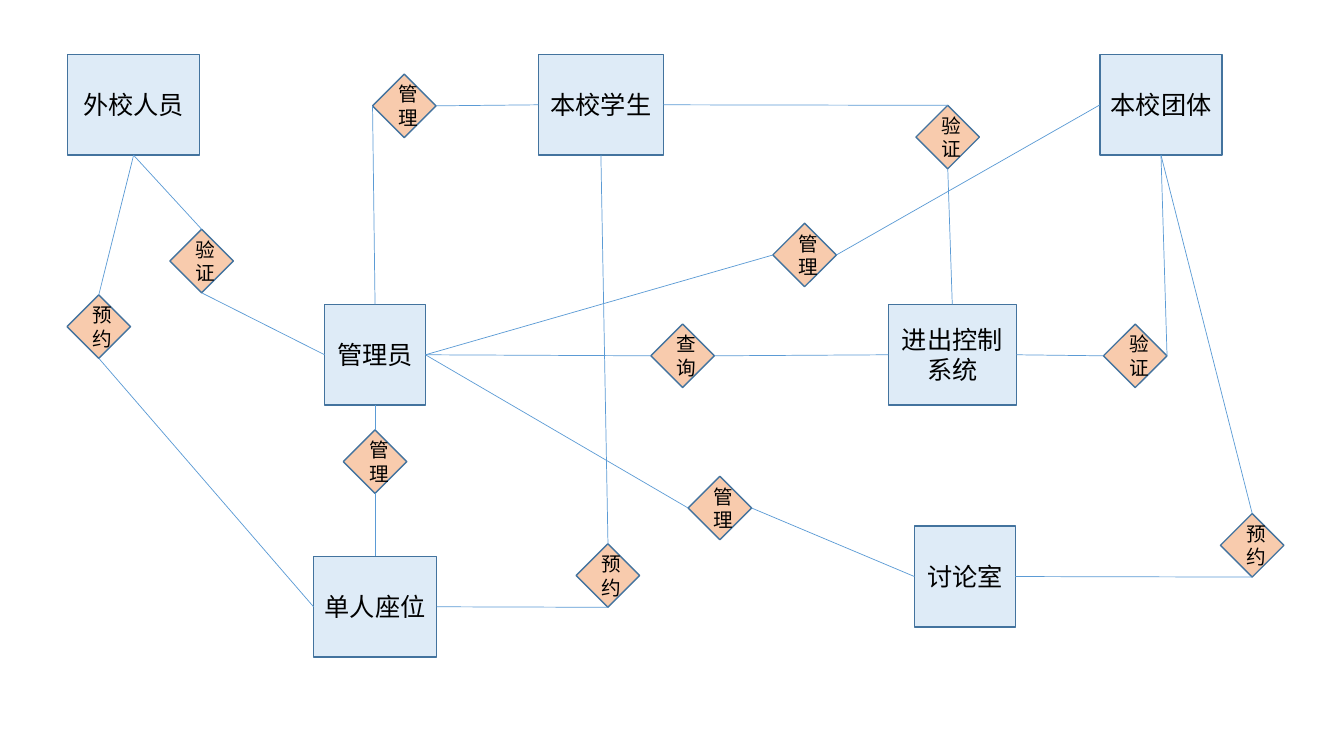
"""Build an entity-relationship diagram of a seat and room booking service."""
from lxml.etree import SubElement
from pptx import Presentation
from pptx.dml.color import RGBColor
from pptx.enum.shapes import MSO_CONNECTOR, MSO_SHAPE
from pptx.enum.text import MSO_ANCHOR, PP_ALIGN
from pptx.oxml.ns import qn
from pptx.util import Inches, Pt

COLUMNS, ROWS = 13.33, 7.5
TOP_ROW, MIDDLE_ROW = 0.54, 3.02
ENTITY_HEIGHT, DIAMOND_SIZE = 1, 0.63
FONT = "Calibri"
COLORS = {"entity": "DEEBF7", "relation": "F8CBAD", "outline": "43739E",
          "link": "5B9BD5", "text": "000000"}
SITES = {"top": 0, "left": 1, "bottom": 2, "right": 3}

# name: left column, top row, width
ENTITIES = {
    "管理员": (3.22, MIDDLE_ROW, 1),
    "单人座位": (3.11, 5.52, 1.22),
    "本校团体": (10.91, TOP_ROW, 1.21),
    "讨论室": (9.07, 5.22, 1),
    "外校人员": (0.67, TOP_ROW, 1.31),
    "本校学生": (5.34, TOP_ROW, 1.24),
    "进出控制系统": (8.81, MIDDLE_ROW, 1.27),
}

# label, centre column, centre row, then two links: diamond side, entity, entity side
RELATIONS = [
    ("管理", 4.01, 1.05, ("left", "管理员", "top"), ("right", "本校学生", "left")),
    ("管理", 3.72, 4.58, ("top", "管理员", "bottom"), ("bottom", "单人座位", "top")),
    ("验证", 2, 2.59, ("top", "外校人员", "bottom"), ("bottom", "管理员", "left")),
    ("查询", 6.77, 3.53, ("left", "管理员", "right"), ("right", "进出控制系统", "left")),
    ("管理", 7.98, 2.53, ("left", "管理员", "right"), ("right", "本校团体", "left")),
    ("管理", 7.14, 5.04, ("left", "管理员", "right"), ("right", "讨论室", "left")),
    ("预约", 6.03, 5.71, ("top", "本校学生", "bottom"), ("bottom", "单人座位", "right")),
    ("预约", 12.42, 5.41, ("top", "本校团体", "bottom"), ("bottom", "讨论室", "right")),
    ("预约", 0.98, 3.24, ("top", "外校人员", "bottom"), ("bottom", "单人座位", "left")),
    ("验证", 11.26, 3.53, ("right", "本校团体", "bottom"), ("left", "进出控制系统", "right")),
    ("验证", 9.4, 1.36, ("top", "本校学生", "right"), ("bottom", "进出控制系统", "top")),
]


def color(name):
    return RGBColor.from_string(COLORS[name])


def add_node(page, kind, frame, label, fill, size):
    node = page.shapes.add_shape(kind, *(Inches(length) for length in frame))
    node.shadow.inherit = False
    node.fill.solid()
    node.fill.fore_color.rgb = color(fill)
    node.line.color.rgb = color("outline")
    node.line.width = Pt(1)
    text = node.text_frame
    text.word_wrap = True
    text.vertical_anchor = MSO_ANCHOR.MIDDLE
    para = text.paragraphs[0]
    para.text = label
    para.alignment = PP_ALIGN.CENTER
    para.font.name = FONT
    para.font.size = Pt(size)
    para.font.color.rgb = color("text")
    return node


def add_link(page, entity, entity_side, diamond, diamond_side):
    link = page.shapes.add_connector(MSO_CONNECTOR.STRAIGHT, 0, 0, 0, 0)
    link.begin_connect(entity, SITES[entity_side])
    link.end_connect(diamond, SITES[diamond_side])
    link.line.color.rgb = color("link")
    link.line.width = Pt(0.5)
    SubElement(link._element.spPr, qn("a:effectLst"))


def main():
    deck = Presentation()
    deck.slide_width, deck.slide_height = Inches(COLUMNS), Inches(ROWS)
    page = deck.slides.add_slide(deck.slide_layouts[6])
    entities = {
        name: add_node(page, MSO_SHAPE.RECTANGLE, (left, top, width, ENTITY_HEIGHT),
                       name, "entity", 18)
        for name, (left, top, width) in ENTITIES.items()
    }
    for label, column, row, *links in RELATIONS:
        frame = (column - DIAMOND_SIZE / 2, row - DIAMOND_SIZE / 2,
                 DIAMOND_SIZE, DIAMOND_SIZE)
        diamond = add_node(page, MSO_SHAPE.DIAMOND, frame, label, "relation", 14)
        for diamond_side, name, entity_side in links:
            add_link(page, entities[name], entity_side, diamond, diamond_side)
    deck.save("out.pptx")


if __name__ == "__main__":
    main()
